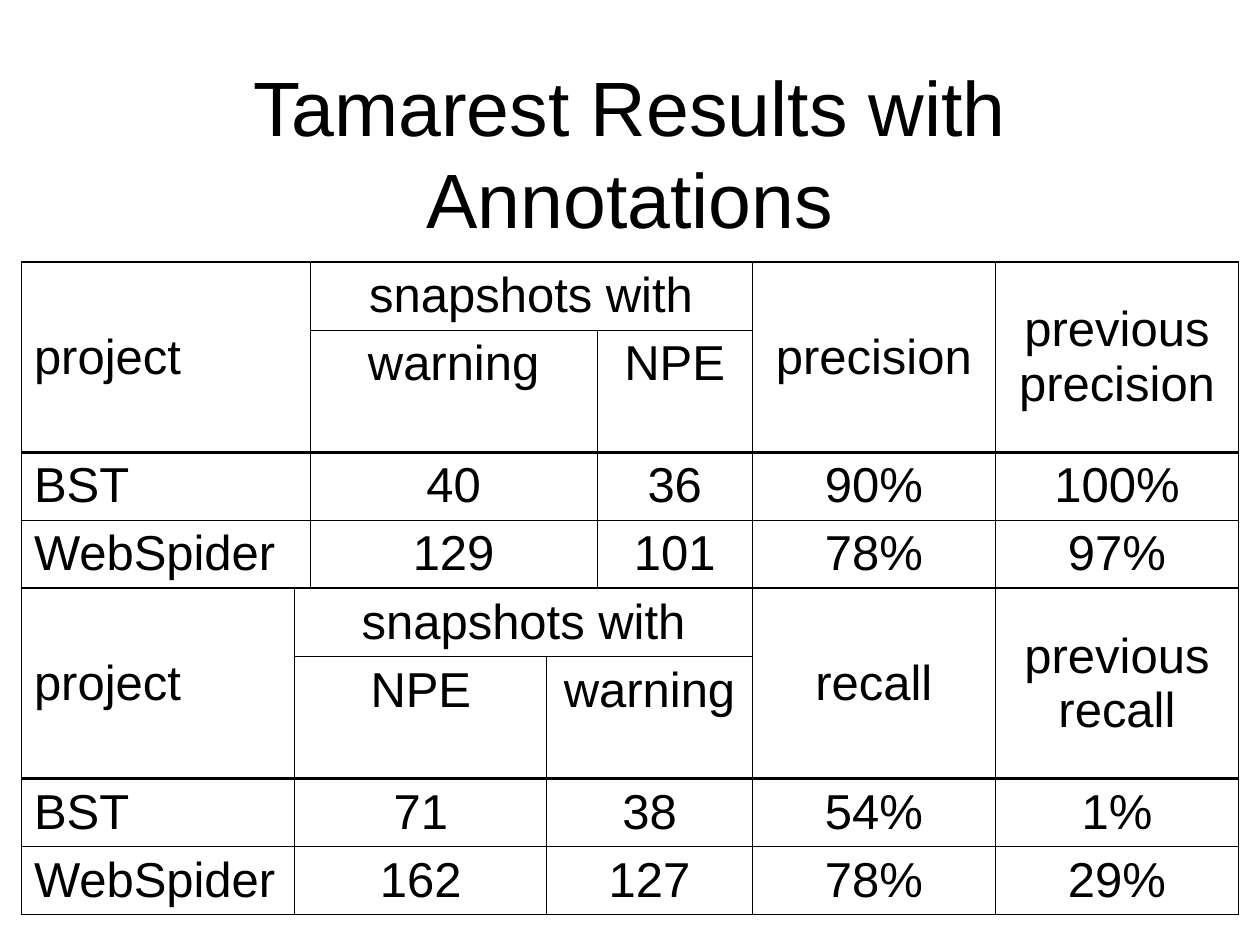
from pptx import Presentation
from pptx.util import Inches, Pt
from pptx.dml.color import RGBColor
from pptx.enum.text import PP_ALIGN, MSO_ANCHOR, MSO_AUTO_SIZE
from lxml.etree import SubElement
from pptx.oxml.ns import qn

BLACK = RGBColor(0, 0, 0)
THIN, EDGE, THICK = 0.45, 1.08, 2.21
LEFT = 0.17
ROWS = [0.54, 0.97, 0.54, 0.54]
LAST = 1.93


def style(par, size, align):
    par.alignment = align
    for run in par.runs:
        run.font.size = Pt(size)
        run.font.name = "Arial"
        run.font.bold = False
        run.font.color.rgb = BLACK


def border(cell, sides):
    props = cell._tc.get_or_add_tcPr()
    for at, (tag, width) in enumerate(sides.items()):
        line = props.makeelement(qn("a:" + tag), {"w": str(Pt(width))})
        fill = SubElement(line, qn("a:solidFill"))
        SubElement(fill, qn("a:srgbClr"), val=str(BLACK))
        props.insert(at, line)


deck = Presentation()
deck.slide_width, deck.slide_height = Inches(10), Inches(7.5)
slide = deck.slides.add_slide(deck.slide_layouts[5])

title = slide.shapes.title
title.left, title.top = Inches(0.75), Inches(0.58)
title.width, title.height = Inches(8.5), Inches(1.25)
frame = title.text_frame
frame.text = "Tamarest Results with Annotations"
frame.word_wrap = True
frame.auto_size = MSO_AUTO_SIZE.NONE
frame.vertical_anchor = MSO_ANCHOR.MIDDLE
style(frame.paragraphs[0], 44, PP_ALIGN.CENTER)

tables = [
    (2.08, [2.29, 2.28, 1.23, LAST, LAST], [
        ["project", "snapshots with", "", "precision", "previous precision"],
        ["", "warning", "NPE", "", ""],
        ["BST", "40", "36", "90%", "100%"],
        ["WebSpider", "129", "101", "78%", "97%"]]),
    (2.08 + sum(ROWS), [2.17, 2, 1.63, LAST, LAST], [
        ["project", "snapshots with", "", "recall", "previous recall"],
        ["", "NPE", "warning", "", ""],
        ["BST", "71", "38", "54%", "1%"],
        ["WebSpider", "162", "127", "78%", "29%"]]),
]

for top, cols, data in tables:
    grid = slide.shapes.add_table(
        len(ROWS), len(cols), Inches(LEFT), Inches(top),
        Inches(sum(cols)), Inches(sum(ROWS))).table
    grid.first_row = grid.horz_banding = False
    for col, width in zip(grid.columns, cols):
        col.width = Inches(width)
    for row, height in zip(grid.rows, ROWS):
        row.height = Inches(height)
    for c in (0, 3, 4):
        grid.cell(0, c).merge(grid.cell(1, c))
    grid.cell(0, 1).merge(grid.cell(0, 2))

    for r, line in enumerate(data):
        for c, text in enumerate(line):
            cell = grid.cell(r, c)
            cell.fill.background()
            if cell.is_spanned:
                continue
            tall = cell.is_merge_origin and cell.span_height == 2
            end = r + cell.span_height - 1 if tall else r
            border(cell, {
                "lnL": EDGE if c == 0 else THIN,
                "lnR": EDGE if c == 4 else THIN,
                "lnT": {0: EDGE, 2: THICK}.get(r, THIN),
                "lnB": {1: THICK, 3: EDGE}.get(end, THIN)})
            cell.vertical_anchor = MSO_ANCHOR.MIDDLE if tall else MSO_ANCHOR.TOP
            cell.text_frame.text = text
            par = cell.text_frame.paragraphs[0]
            par.space_before = Pt(7)
            style(par, 28, PP_ALIGN.LEFT if c == 0 else PP_ALIGN.CENTER)

deck.save("out.pptx")
